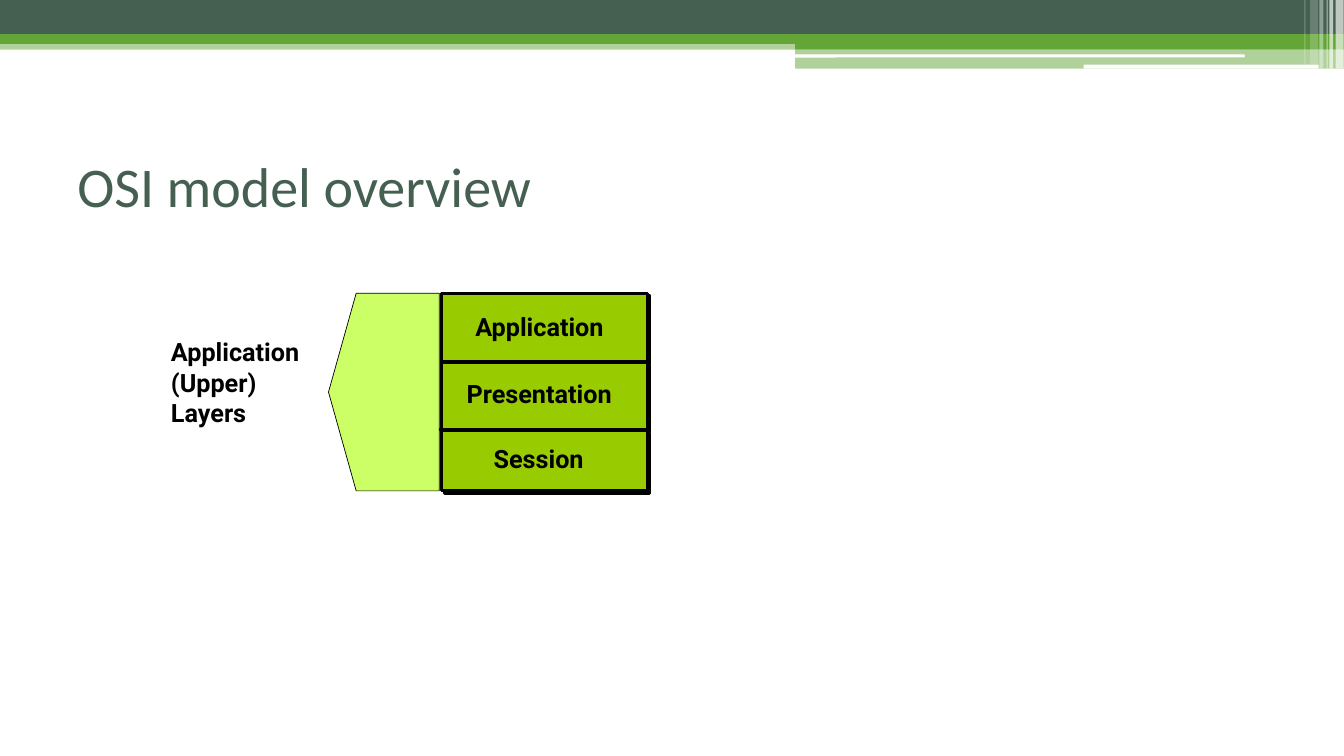
"""Build the OSI model overview slide."""
from dataclasses import dataclass

from lxml import etree
from pptx import Presentation
from pptx.dml.color import RGBColor
from pptx.enum import shapes, text
from pptx.oxml import ns
from pptx.util import Cm, Pt

BLACK = RGBColor(0x00, 0x00, 0x00)
WHITE = RGBColor(0xFF, 0xFF, 0xFF)
SLATE = RGBColor(0x45, 0x5F, 0x51)
GREEN = RGBColor(0x63, 0xA5, 0x37)
LAYER_GREEN = RGBColor(0x99, 0xCC, 0x00)
ARROW_LIME = RGBColor(0xCC, 0xFF, 0x66)
RECT = shapes.MSO_SHAPE.RECTANGLE
ROUND = shapes.MSO_SHAPE.ROUNDED_RECTANGLE
WIDTH, HEIGHT = 33.87, 19.05
HALF_LEFT, HALF_WIDTH = 20.04, 13.83
LAYER_LEFT, LAYER_WIDTH = 11.13, 5.18
LAYERS_TOP, LAYERS_HEIGHT = 7.39, 4.98
RULE_LENGTH = 5.06


@dataclass
class Block:
    """A filled preset shape, in centimetres, with opacity in percent."""
    left: float
    top: float
    width: float
    height: float
    color: RGBColor
    opacity: int = 100
    preset: shapes.MSO_SHAPE = RECT
    outline: float = 0
    shadow: bool = False


@dataclass
class Label:
    """A text box, in centimetres, with one paragraph per line."""
    left: float
    top: float
    width: float
    height: float
    lines: tuple[str, ...]
    font: str = "Roboto"
    size: int = 18
    color: RGBColor = BLACK
    bold: bool = True
    wrap: bool = False
    anchor: text.MSO_ANCHOR = text.MSO_ANCHOR.TOP


@dataclass
class Layer:
    """An OSI layer box with the place of its name."""
    name: str
    top: float
    height: float
    name_left: float
    name_top: float
    name_width: float


BANDS = [
    Block(0, 1.02, WIDTH, 0.23, GREEN, 50),
    Block(0, 0, WIDTH, 0.86, SLATE),
    Block(0, 0.86, WIDTH, 0.25, GREEN),
    Block(HALF_LEFT, 0.99, HALF_WIDTH, 0.25, GREEN),
    Block(HALF_LEFT, 1.22, HALF_WIDTH, 0.51, GREEN, 50),
    Block(20.02, 1.37, 11.35, 0.08, WHITE, preset=ROUND),
    Block(27.31, 1.63, 5.92, 0.1, WHITE, preset=ROUND),
]
STRIPES = [
    Block(left, 0, width, height, WHITE, opacity)
    for left, width, height, opacity in (
        (33.66, 0.2, 1.73, 65), (33.5, 0.1, 1.73, 65), (33.43, 0.03, 1.73, 60),
        (33.25, 0.1, 1.73, 40), (33.02, 0.2, 1.63, 20), (32.87, 0.03, 1.63, 30))
]
LAYERS = [
    Layer("Application", LAYERS_TOP, 1.73, 11.73, 7.72, 3.96),
    Layer("Presentation", 9.14, 1.68, 11.51, 9.42, 4.37),
    Layer("Session", 10.85, 1.52, 12.19, 11.05, 2.95),
]
RULES = [(11.18, 9.14), (11.13, 10.9), (11.1, 9.14), (11.05, 10.82)]
TITLE = Label(1.7, 3.18, 30.48, 2.97, ("OSI model overview",), "Calibri", 40,
              SLATE, False, True, text.MSO_ANCHOR.MIDDLE)
GROUP_LABEL = Label(4.06, 8.36, 4.14, 2.54, ("Application", "(Upper)", "Layers"))
ARROW = Block(8.28, LAYERS_TOP, 2.79, LAYERS_HEIGHT, ARROW_LIME,
              preset=shapes.MSO_SHAPE.PENTAGON, outline=0.5)


def add_block(slide, block: Block):
    """Draw a block and return its shape."""
    s = slide.shapes.add_shape(block.preset, Cm(block.left), Cm(block.top),
                               Cm(block.width), Cm(block.height))
    s.shadow.inherit = False
    s.fill.solid()
    s.fill.fore_color.rgb = block.color
    if block.opacity < 100:
        color = s.element.spPr.find(ns.qn("a:solidFill"))[0]
        etree.SubElement(color, ns.qn("a:alpha"), val=str(block.opacity * 1000))
    if block.outline:
        s.line.color.rgb = BLACK
        s.line.width = Pt(block.outline)
    else:
        s.line.fill.background()
    if block.shadow:
        effects = s.element.spPr.find(ns.qn("a:effectLst"))
        shadow = etree.SubElement(effects, ns.qn("a:outerShdw"), dist=str(Pt(2.8)),
                                  dir="2700000", algn="ctr", rotWithShape="0")
        etree.SubElement(shadow, ns.qn("a:srgbClr"), val=str(BLACK))
    return s


def add_label(slide, label: Label) -> None:
    """Write a label run by run."""
    s = slide.shapes.add_textbox(Cm(label.left), Cm(label.top),
                                 Cm(label.width), Cm(label.height))
    tf = s.text_frame
    tf.word_wrap = label.wrap
    tf.vertical_anchor = label.anchor
    if not label.wrap:
        tf.auto_size = text.MSO_AUTO_SIZE.SHAPE_TO_FIT_TEXT
    for i, line in enumerate(label.lines):
        p = tf.add_paragraph() if i else tf.paragraphs[0]
        r = p.add_run()
        r.text = line
        r.font.name = label.font
        r.font.size = Pt(label.size)
        r.font.bold = label.bold
        r.font.color.rgb = label.color


def add_rule(slide, left: float, top: float) -> None:
    """Draw a horizontal rule between layers."""
    s = slide.shapes.add_connector(shapes.MSO_CONNECTOR.STRAIGHT, Cm(left), Cm(top),
                                   Cm(left + RULE_LENGTH), Cm(top))
    s.line.color.rgb = BLACK
    s.line.width = Pt(2.25)
    etree.SubElement(s.element.spPr, ns.qn("a:effectLst"))


def main() -> None:
    """Build and save the slide."""
    prs = Presentation()
    prs.slide_width, prs.slide_height = Cm(WIDTH), Cm(HEIGHT)
    slide = prs.slides.add_slide(prs.slide_layouts[6])
    for block in BANDS + STRIPES:
        add_block(slide, block)
    add_label(slide, TITLE)
    add_label(slide, GROUP_LABEL)
    for left, top in RULES:
        add_rule(slide, left, top)
    for layer in LAYERS:
        add_block(slide, Block(LAYER_LEFT, layer.top, LAYER_WIDTH, layer.height,
                               LAYER_GREEN, outline=2.25, shadow=True))
    arrow = add_block(slide, ARROW)
    arrow.adjustments[0] = 0.25
    arrow.element.spPr.find(ns.qn("a:xfrm")).set("flipH", "1")
    for layer in reversed(LAYERS):
        add_label(slide, Label(layer.name_left, layer.name_top, layer.name_width,
                               1.02, (layer.name,)))
    prs.save("out.pptx")


if __name__ == "__main__":
    main()
